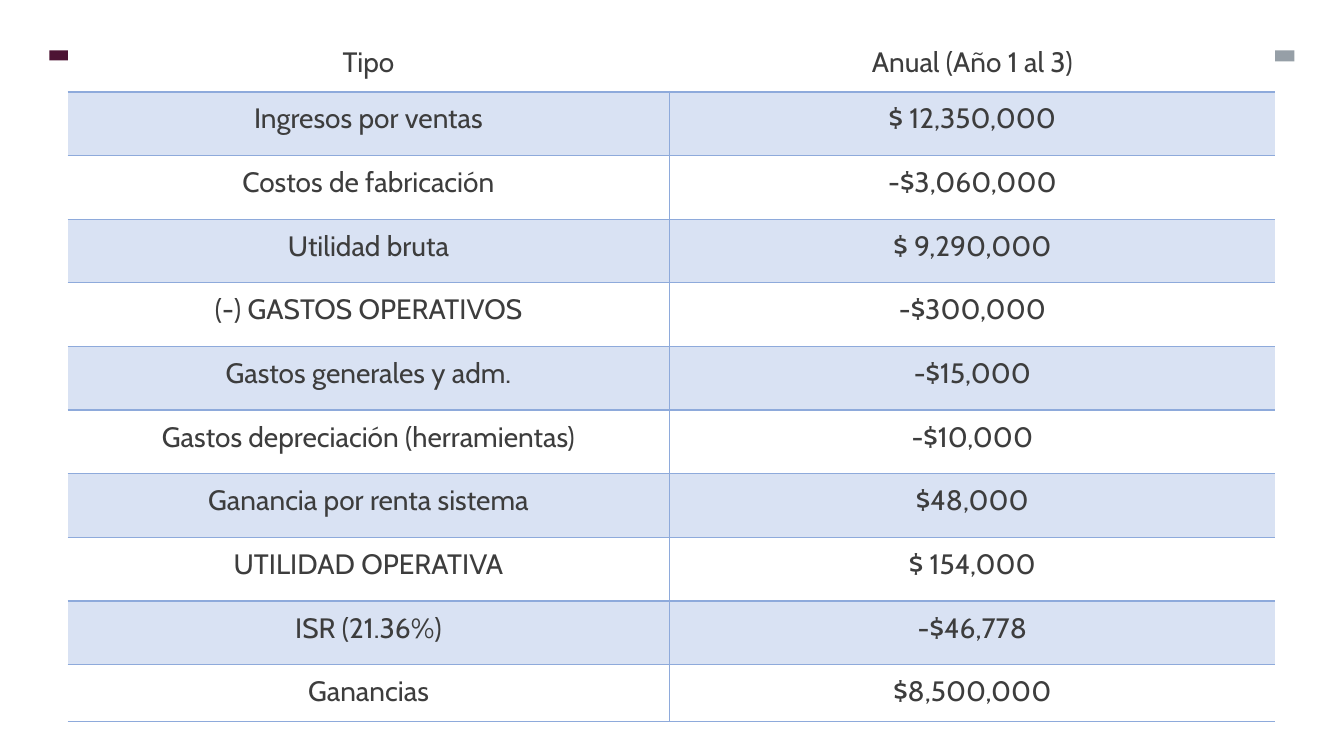
import pptx
import pptx.dml.color
import pptx.enum.shapes
import pptx.enum.text
import pptx.oxml.ns
import pptx.util
import lxml.etree

WIDTH, HEIGHT = 13.33, 7.5
FONT = "Cabin"
TEXT, WHITE, BAND, RULE = "3D3D3D", "FFFFFF", "D9E2F3", "8EAADB"
PLAIN_TABLE_STYLE = "{2D5ABB26-0587-4C30-8999-92F81FD0307C}"
BARS = [("4D1434", 1.33), ("903163", 1.33), ("969FA7", 1.47)]
BAR_LEFT, BAR_TOP, BAR_WIDTH, BAR_STEP = 3.68, 6.67, 30.38, 31.13
TABLE_LEFT, TABLE_TOP = 5.03, 4.67
COLUMN_WIDTHS = [44.78, 45.08]
OUTER_ROW, INNER_ROW = 7.47, 8.42
FIGURES = [
    ("Tipo", "Anual (Año 1 al 3)"),
    ("Ingresos por ventas", "$ 12,350,000"),
    ("Costos de fabricación", "-$3,060,000"),
    ("Utilidad bruta", "$ 9,290,000"),
    ("(-) GASTOS OPERATIVOS", "-$300,000"),
    ("Gastos generales y adm.", "-$15,000"),
    ("Gastos depreciación (herramientas)", "-$10,000"),
    ("Ganancia por renta sistema", "$48,000"),
    ("UTILIDAD OPERATIVA", "$ 154,000"),
    ("ISR (21.36%)", "-$46,778"),
    ("Ganancias", "$8,500,000"),
]


def across(percent):
    return pptx.util.Inches(WIDTH * percent / 100)


def down(percent):
    return pptx.util.Inches(HEIGHT * percent / 100)


def color(value):
    return pptx.dml.color.RGBColor.from_string(value)


def write(frame, text, size=20, ink=TEXT, align=pptx.enum.text.PP_ALIGN.CENTER):
    para = frame.paragraphs[0]
    para.alignment = align
    span = para.add_run()
    span.text = text
    span.font.name = FONT
    span.font.size = pptx.util.Pt(size)
    span.font.color.rgb = color(ink)


def add_bar(page, left, height, fill):
    bar = page.shapes.add_shape(
        pptx.enum.shapes.MSO_SHAPE.RECTANGLE,
        across(left), down(BAR_TOP), across(BAR_WIDTH), down(height))
    bar.shadow.inherit = False
    bar.fill.solid()
    bar.fill.fore_color.rgb = color(fill)
    bar.line.fill.background()


def set_borders(cell, **widths):
    properties = cell._tc.get_or_add_tcPr()
    for position, side in enumerate(("L", "R", "T", "B")):
        line = lxml.etree.Element(pptx.oxml.ns.qn("a:ln" + side))
        if side in widths:
            line.set("w", str(pptx.util.Pt(widths[side])))
            solid = lxml.etree.SubElement(line, pptx.oxml.ns.qn("a:solidFill"))
            lxml.etree.SubElement(solid, pptx.oxml.ns.qn("a:srgbClr"), val=RULE)
        else:
            line.set("w", "0")
            lxml.etree.SubElement(line, pptx.oxml.ns.qn("a:noFill"))
        properties.insert(position, line)


def fill_cell(cell, fill):
    if fill:
        cell.fill.solid()
        cell.fill.fore_color.rgb = color(fill)
    else:
        cell.fill.background()


def borders_for(row, column):
    if row == 0:
        return {"B": 1.5}
    inner_side = "R" if column == 0 else "L"
    return {"T": 1.5 if row == 1 else 1, "B": 1, inner_side: 1}


def add_figures(page):
    last = len(FIGURES) - 1
    heights = [OUTER_ROW if row in (0, last) else INNER_ROW for row in range(last + 1)]
    frame = page.shapes.add_table(
        len(FIGURES), len(COLUMN_WIDTHS), across(TABLE_LEFT), down(TABLE_TOP),
        across(sum(COLUMN_WIDTHS)), down(sum(heights)))
    table = frame.table
    table.first_row = False
    table.horz_banding = False
    table._tbl.tblPr.find(pptx.oxml.ns.qn("a:tableStyleId")).text = PLAIN_TABLE_STYLE
    for column, width in enumerate(COLUMN_WIDTHS):
        table.columns[column].width = across(width)
    for row, texts in enumerate(FIGURES):
        table.rows[row].height = down(heights[row])
        fill = WHITE if row == 0 else BAND if row % 2 else None
        for column, text in enumerate(texts):
            cell = table.cell(row, column)
            cell.margin_left = cell.margin_right = pptx.util.Inches(0.07)
            cell.margin_top = cell.margin_bottom = pptx.util.Inches(0.1)
            write(cell.text_frame, text)
            fill_cell(cell, fill)
            set_borders(cell, **borders_for(row, column))


def main():
    deck = pptx.Presentation()
    deck.slide_width = across(100)
    deck.slide_height = down(100)
    page = deck.slides.add_slide(deck.slide_layouts[6])
    for index, (fill, height) in enumerate(BARS):
        add_bar(page, BAR_LEFT + index * BAR_STEP, height, fill)
    add_figures(page)
    deck.save("out.pptx")


if __name__ == "__main__":
    main()
